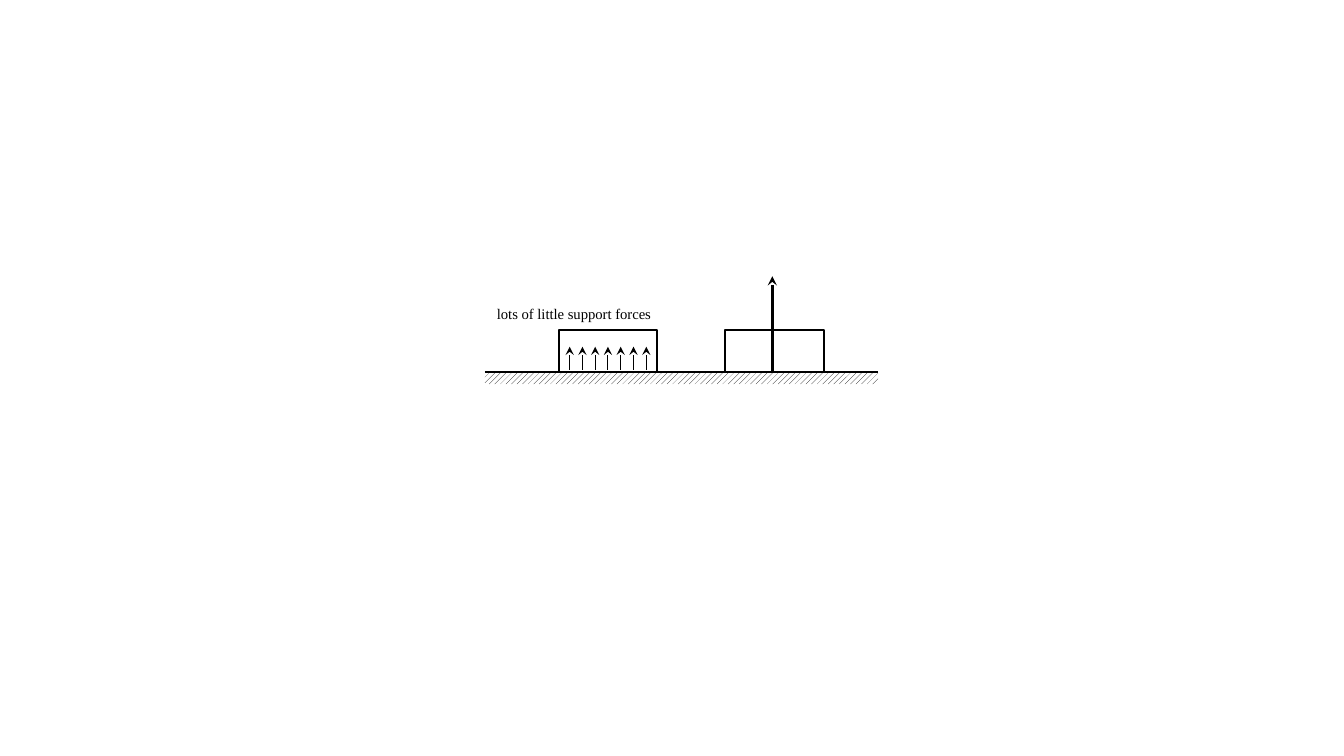
from dataclasses import dataclass

import pptx
import pptx.dml.color
import pptx.enum.dml
import pptx.enum.shapes
import pptx.enum.text
import pptx.oxml
import pptx.oxml.ns
import pptx.util
from pptx.util import Inches

BLACK = pptx.dml.color.RGBColor(0, 0, 0)
WHITE = pptx.dml.color.RGBColor(255, 255, 255)
RECTANGLE = pptx.enum.shapes.MSO_SHAPE.RECTANGLE

GROUND_LEFT, GROUND_TOP, GROUND_WIDTH, GROUND_HEIGHT = 4.81, 3.69, 3.9, 0.12
BLOCK_TOP, BLOCK_WIDTH, BLOCK_HEIGHT = 3.27, 0.98, 0.42
LITTLE_FORCES = 7
FIRST_FORCE, LAST_FORCE = 5.65, 6.41


@dataclass
class Line:
    x1: float
    y1: float
    x2: float
    y2: float
    weight: float
    arrow: bool = True


def add_line(shapes, line: Line) -> None:
    s = shapes.add_connector(
        pptx.enum.shapes.MSO_CONNECTOR.STRAIGHT,
        Inches(line.x1), Inches(line.y1), Inches(line.x2), Inches(line.y2))
    s.line.color.rgb = BLACK
    s.line.width = pptx.util.Pt(line.weight)
    if line.arrow:
        ln = s.line._get_or_add_ln()
        tail = pptx.oxml.parse_xml(
            f'<a:tailEnd {pptx.oxml.ns.nsdecls("a")} type="stealth"/>')
        ln.append(tail)
    s._element.spPr.append(
        pptx.oxml.parse_xml(f'<a:effectLst {pptx.oxml.ns.nsdecls("a")}/>'))


def add_block(shapes, left: float) -> None:
    s = shapes.add_shape(RECTANGLE, Inches(left), Inches(BLOCK_TOP),
                         Inches(BLOCK_WIDTH), Inches(BLOCK_HEIGHT))
    s.shadow.inherit = False
    s.fill.background()
    s.line.color.rgb = BLACK
    s.line.width = pptx.util.Pt(1.5)


def add_label(shapes) -> None:
    s = shapes.add_textbox(Inches(4.83), Inches(2.97), Inches(1.79), Inches(0.29))
    tf = s.text_frame
    tf.word_wrap = True
    tf.auto_size = pptx.enum.text.MSO_AUTO_SIZE.SHAPE_TO_FIT_TEXT
    r = tf.paragraphs[0].add_run()
    r.text = "lots of little support forces"
    r.font.name = "Times New Roman"
    r.font.size = pptx.util.Pt(10.5)
    r.font.color.rgb = BLACK


def add_ground(shapes) -> None:
    group = shapes.add_group_shape()
    s = group.shapes.add_shape(RECTANGLE, Inches(GROUND_LEFT), Inches(GROUND_TOP),
                               Inches(GROUND_WIDTH), Inches(GROUND_HEIGHT))
    s.shadow.inherit = False
    s.fill.patterned()
    s.fill.pattern = pptx.enum.dml.MSO_PATTERN.WIDE_UPWARD_DIAGONAL
    s.fill.fore_color.rgb = BLACK
    s.fill.back_color.rgb = WHITE
    s.line.fill.background()
    add_line(group.shapes, Line(GROUND_LEFT, GROUND_TOP,
                                GROUND_LEFT + GROUND_WIDTH, GROUND_TOP, 1.5, False))


def add_little_forces(shapes) -> None:
    group = shapes.add_group_shape()
    step = (LAST_FORCE - FIRST_FORCE) / (LITTLE_FORCES - 1)
    for i in range(LITTLE_FORCES):
        x = FIRST_FORCE + i * step
        add_line(group.shapes, Line(x, 3.67, x, 3.44, 0.75))


def main() -> None:
    prs = pptx.Presentation()
    prs.slide_width, prs.slide_height = Inches(13.33), Inches(7.5)
    shapes = prs.slides.add_slide(prs.slide_layouts[6]).shapes

    # Right block on the ground, with one total support force
    add_block(shapes, 7.19)
    add_label(shapes)
    add_ground(shapes)
    add_line(shapes, Line(7.66, 3.68, 7.66, 2.74, 2.25))

    # Left block with many little support forces
    add_block(shapes, 5.54)
    add_little_forces(shapes)

    prs.save("out.pptx")


if __name__ == "__main__":
    main()
